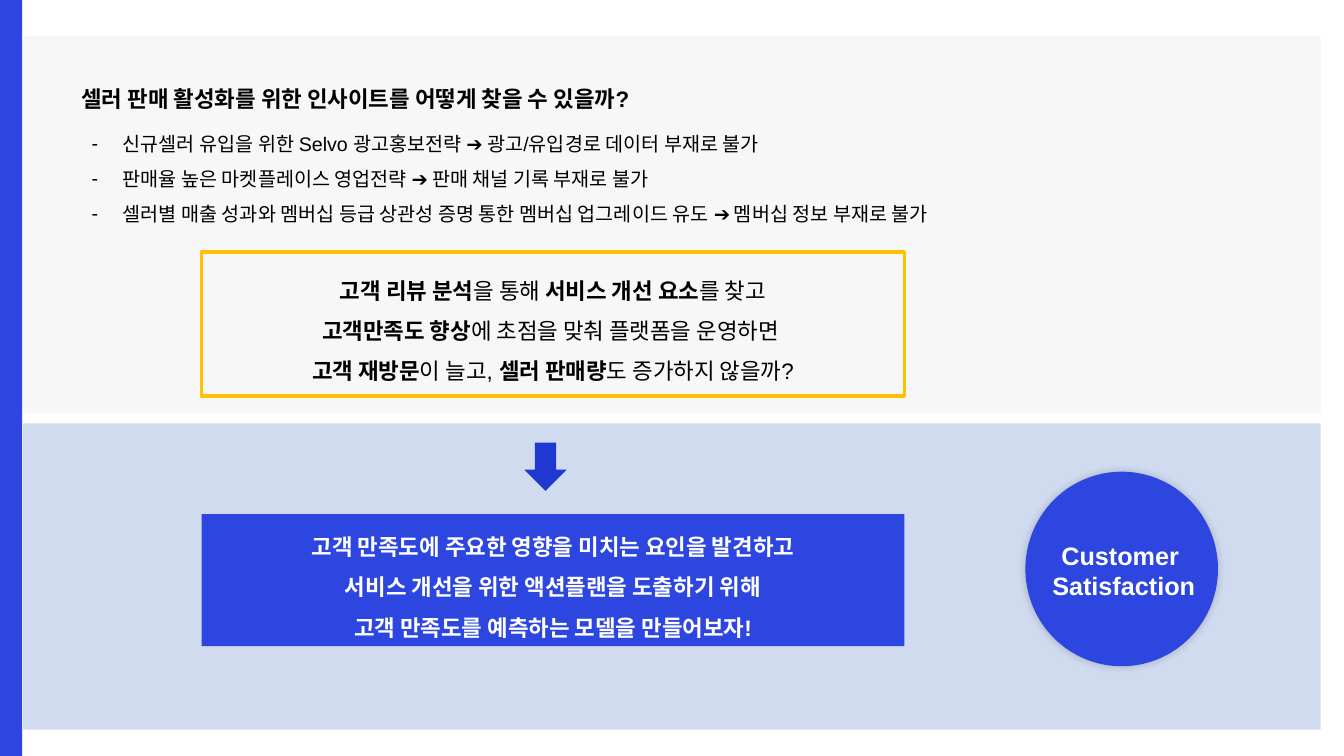
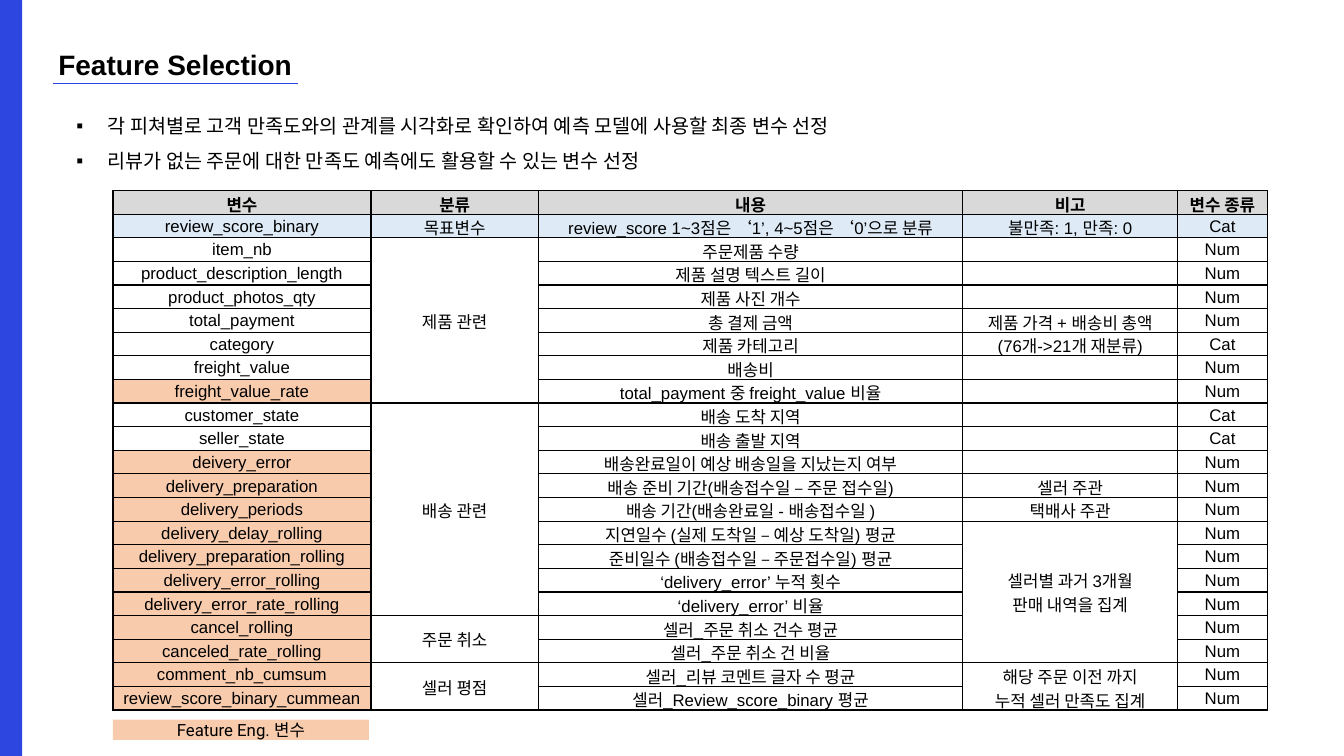
import pptx
import pptx.chart.data
import pptx.dml.color
import pptx.enum.shapes
import pptx.enum.text
import pptx.oxml.ns
import pptx.util
from lxml import etree

Inches = pptx.util.Inches
Pt = pptx.util.Pt
RGBColor = pptx.dml.color.RGBColor
SHAPE = pptx.enum.shapes.MSO_SHAPE
ALIGN = pptx.enum.text.PP_ALIGN
ANCHOR = pptx.enum.text.MSO_ANCHOR
GROW = pptx.enum.text.MSO_AUTO_SIZE.SHAPE_TO_FIT_TEXT
qn = pptx.oxml.ns.qn

BLUE = RGBColor(0x2C, 0x46, 0xDF)
ARROW_BLUE = RGBColor(0x1F, 0x38, 0xCF)
BAND_BLUE = RGBColor(0x44, 0x72, 0xC4)
BAND_GRAY = RGBColor(0xF7, 0xF7, 0xF7)
YELLOW = RGBColor(0xFF, 0xC0, 0x00)
HEADER_GRAY = RGBColor(0xD9, 0xD9, 0xD9)
TARGET_BLUE = RGBColor(0xDE, 0xEB, 0xF7)
ENGINEERED_ORANGE = RGBColor(0xF8, 0xCB, 0xAD)
BLACK = RGBColor(0, 0, 0)
WHITE = RGBColor(0xFF, 0xFF, 0xFF)

CELL_MARGINS = {
    "margin_left": Inches(0.01),
    "margin_top": Inches(0.01),
    "margin_right": Inches(0.01),
    "margin_bottom": 0,
    "vertical_anchor": ANCHOR.MIDDLE,
}
COLUMN_WIDTHS = (2.56, 1.66, 4.21, 2.13, 0.89)
TABLE_HEIGHT = 5.16
HEADERS = ("변수", "분류", "내용", "비고", "변수 종류")
TARGET = ("review_score_binary", "목표변수", "review_score 1~3점은 ‘1’, 4~5점은 ‘0’으로 분류",
          "불만족: 1, 만족: 0", "Cat")
# variable, description, note, kind
FEATURES = (
    ("item_nb", "주문제품 수량", "", "Num"),
    ("product_description_length", "제품 설명 텍스트 길이", "", "Num"),
    ("product_photos_qty", "제품 사진 개수", "", "Num"),
    ("total_payment", "총 결제 금액", "제품 가격 + 배송비 총액", "Num"),
    ("category", "제품 카테고리", "(76개->21개 재분류)", "Cat"),
    ("freight_value", "배송비", "", "Num"),
    ("freight_value_rate", "total_payment 중 freight_value 비율", "", "Num"),
    ("customer_state", "배송 도착 지역", "", "Cat"),
    ("seller_state", "배송 출발 지역", "", "Cat"),
    ("deivery_error", "배송완료일이 예상 배송일을 지났는지 여부", "", "Num"),
    ("delivery_preparation", "배송 준비 기간(배송접수일 – 주문 접수일)", "셀러 주관", "Num"),
    ("delivery_periods", "배송 기간(배송완료일 - 배송접수일 )", "택배사 주관", "Num"),
    ("delivery_delay_rolling", "지연일수 (실제 도착일 – 예상 도착일) 평균",
     "셀러별 과거 3개월\n판매 내역을 집계", "Num"),
    ("delivery_preparation_rolling", "준비일수 (배송접수일 – 주문접수일) 평균", "", "Num"),
    ("delivery_error_rolling", "‘delivery_error’ 누적 횟수", "", "Num"),
    ("delivery_error_rate_rolling", "‘delivery_error’ 비율", "", "Num"),
    ("cancel_rolling", "셀러_주문 취소 건수 평균", "", "Num"),
    ("canceled_rate_rolling", "셀러_주문 취소 건 비율", "", "Num"),
    ("comment_nb_cumsum", "셀러_리뷰 코멘트 글자 수 평균",
     "해당 주문 이전 까지\n누적 셀러 만족도 집계", "Num"),
    ("review_score_binary_cummean", "셀러_Review_score_binary 평균", "", "Num"),
)
# first table row: (category, rows)
CATEGORIES = {2: ("제품 관련", 7), 9: ("배송 관련", 9), 18: ("주문 취소", 2), 20: ("셀러 평점", 2)}
NOTE_SPANS = {14: 6, 20: 2}
ENGINEERED_ROWS = {8, *range(11, 22)}


def set_attributes(target, values):
    for name, value in values.items():
        setattr(target, name, value)


def add_bullet(paragraph, symbol):
    properties = paragraph._p.get_or_add_pPr()
    properties.set("marL", str(Inches(0.31)))
    properties.set("indent", str(-Inches(0.31)))
    etree.SubElement(properties, qn("a:buFont"), typeface="Arial")
    etree.SubElement(properties, qn("a:buChar"), char=symbol)


def write(frame, lines, size, color=BLACK, bold=False, align=ALIGN.LEFT,
          spacing=None, bullet=None, font="Arial"):
    """Fill a text frame; ** switches bold on and off inside a line."""
    for index, line in enumerate(lines):
        paragraph = frame.add_paragraph() if index else frame.paragraphs[0]
        set_attributes(paragraph, {"alignment": align, "line_spacing": spacing})
        if bullet:
            add_bullet(paragraph, bullet)
        for part, words in enumerate(line.split("**")):
            if words:
                run = paragraph.add_run()
                run.text = words
                set_attributes(run.font, {"name": font, "size": Pt(size),
                                          "bold": bold != (part % 2 == 1)})
                run.font.color.rgb = color
        if not line:
            etree.SubElement(paragraph._p, qn("a:endParaRPr"), sz=str(size * 100))


def add_text(shapes, box, lines, size, **style):
    frame = shapes.add_textbox(*map(Inches, box)).text_frame
    set_attributes(frame, {"word_wrap": True, "auto_size": GROW})
    write(frame, lines, size, **style)


def add_block(shapes, kind, box, fill=None, line=None):
    block = shapes.add_shape(kind, *map(Inches, box))
    block.shadow.inherit = False
    if fill is None:
        block.fill.background()
    else:
        block.fill.solid()
        block.fill.fore_color.rgb = fill
    if line is None:
        block.line.fill.background()
    else:
        block.line.color.rgb = line
        block.line.width = Pt(2.5)
    return block


def set_alpha(color_element, percent):
    etree.SubElement(color_element, qn("a:alpha"), val=str(percent * 1000))


def add_soft_shadow(block):
    effects = block._element.spPr.find(qn("a:effectLst"))
    shadow = etree.SubElement(effects, qn("a:outerShdw"), blurRad=str(Pt(6)), dist="0",
                              dir="2700000", algn="tl", rotWithShape="0")
    set_alpha(etree.SubElement(shadow, qn("a:srgbClr"), val="000000"), 20)


def add_statement(shapes, box, lines, fill=None, line=None, **style):
    """Box with centred lines of 16 point text."""
    block = add_block(shapes, SHAPE.RECTANGLE, box, fill, line)
    set_attributes(block.text_frame, {"word_wrap": True, "vertical_anchor": ANCHOR.MIDDLE})
    write(block.text_frame, lines, 16, align=ALIGN.CENTER, spacing=1.5, **style)


def add_underline(shapes, left, right, top):
    line = shapes.add_connector(pptx.enum.shapes.MSO_CONNECTOR.STRAIGHT,
                                Inches(left), Inches(top), Inches(right), Inches(top))
    line.line.color.rgb = BLUE
    line.line.width = Pt(1)
    etree.SubElement(line._element.spPr, qn("a:effectLst"))


def add_cell_borders(cell):
    properties = cell._tc.get_or_add_tcPr()
    for side in ("lnL", "lnR", "lnT", "lnB"):
        border = etree.SubElement(properties, qn(f"a:{side}"), w=str(Pt(1)))
        fill = etree.SubElement(border, qn("a:solidFill"))
        etree.SubElement(fill, qn("a:srgbClr"), val=str(BLACK))


def cell_fill(row, column):
    if row < 2:
        return (HEADER_GRAY, TARGET_BLUE)[row]
    if column == 0 and row in ENGINEERED_ROWS:
        return ENGINEERED_ORANGE
    return None


def add_feature_table(shapes, left, top):
    rows = [HEADERS, TARGET]
    for name, content, note, kind in FEATURES:
        category = CATEGORIES.get(len(rows), ("", 1))[0]
        rows.append((name, category, content, note, kind))
    table = shapes.add_table(len(rows), len(HEADERS), Inches(left), Inches(top),
                             Inches(sum(COLUMN_WIDTHS)), Inches(TABLE_HEIGHT)).table
    set_attributes(table, {"first_row": False, "horz_banding": False})
    for column, width in zip(table.columns, COLUMN_WIDTHS):
        column.width = Inches(width)
    for row, texts in enumerate(rows):
        table.rows[row].height = Inches(TABLE_HEIGHT / len(rows))
        for column, text in enumerate(texts):
            cell = table.cell(row, column)
            set_attributes(cell, CELL_MARGINS)
            add_cell_borders(cell)
            fill = cell_fill(row, column)
            if fill is None:
                cell.fill.background()
            else:
                cell.fill.solid()
                cell.fill.fore_color.rgb = fill
            write(cell.text_frame, text.split("\n"), 12, bold=row == 0, align=ALIGN.CENTER)
    spans = [(row, 1, count) for row, (_, count) in CATEGORIES.items()]
    spans += [(row, 3, count) for row, count in NOTE_SPANS.items()]
    for row, column, count in spans:
        table.cell(row, column).merge(table.cell(row + count - 1, column))


def new_slide(deck):
    """Blank slide with the blue side bar."""
    shapes = deck.slides.add_slide(deck.slide_layouts[6]).shapes
    add_block(shapes, SHAPE.RECTANGLE, (0, 0, 0.22, 7.5), BLUE)
    return shapes


def build_question_slide(deck):
    shapes = new_slide(deck)
    goal_band = add_block(shapes, SHAPE.RECTANGLE, (0.23, 4.2, 12.87, 3.04), BAND_BLUE)
    set_alpha(goal_band._element.spPr.find(qn("a:solidFill"))[0], 25)
    add_block(shapes, SHAPE.RECTANGLE, (0.23, 0.36, 12.87, 3.74), BAND_GRAY)

    add_text(shapes, (0.71, 0.66, 9.54, 0.45),
             ["셀러 판매 활성화를 위한 인사이트를 어떻게 찾을 수 있을까?"], 16, bold=True, spacing=1.5)
    add_text(shapes, (0.81, 1.14, 9.54, 1.34), [
        "신규셀러 유입을 위한 Selvo 광고홍보전략 ➔ 광고/유입경로 데이터 부재로 불가",
        "판매율 높은 마켓플레이스 영업전략 ➔ 판매 채널 기록 부재로 불가",
        "셀러별 매출 성과와 멤버십 등급 상관성 증명 통한 멤버십 업그레이드 유도 ➔ 멤버십 정보 부재로 불가",
    ], 14, spacing=1.5, bullet="-")
    add_statement(shapes, (2, 2.5, 6.97, 1.43), [
        "**고객 리뷰 분석**을 통해 **서비스 개선 요소**를 찾고",
        "**고객만족도 향상**에 초점을 맞춰 플랫폼을 운영하면 ",
        "**고객 재방문**이 늘고, **셀러 판매량**도 증가하지 않을까?",
    ], line=YELLOW)
    add_block(shapes, SHAPE.DOWN_ARROW, (5.2, 4.39, 0.42, 0.48), ARROW_BLUE)
    add_statement(shapes, (2, 5.1, 6.97, 1.31), [
        "고객 만족도에 주요한 영향을 미치는 요인을 발견하고",
        "서비스 개선을 위한 액션플랜을 도출하기 위해",
        "고객 만족도를 예측하는 모델을 만들어보자!",
    ], fill=BLUE, color=WHITE, bold=True)

    badge = shapes.add_group_shape().shapes
    add_soft_shadow(add_block(badge, SHAPE.OVAL, (10.17, 4.68, 1.91, 1.93), BLUE))
    add_text(badge, (9.7, 5.31, 2.89, 0.64), ["Customer ", "Satisfaction"], 18,
             color=WHITE, bold=True, align=ALIGN.CENTER)


def build_feature_slide(deck):
    shapes = new_slide(deck)
    add_text(shapes, (0.48, 0.26, 2.96, 0.54), ["Feature Selection"], 20, bold=True, spacing=1.5)
    add_underline(shapes, 0.53, 2.96, 0.83)
    add_text(shapes, (0.66, 0.96, 12.38, 0.81), [
        "각 피쳐별로 고객 만족도와의 관계를 시각화로 확인하여 예측 모델에 사용할 최종 변수 선정",
        "리뷰가 없는 주문에 대한 만족도 예측에도 활용할 수 있는 변수 선정",
    ], 14, spacing=1.5, bullet="▪")
    add_feature_table(shapes, 1.12, 1.89)
    legend = add_block(shapes, SHAPE.RECTANGLE, (1.12, 7.14, 2.54, 0.2), ENGINEERED_ORANGE)
    set_attributes(legend.text_frame, {"margin_top": 0, "margin_bottom": 0, "word_wrap": True,
                                       "vertical_anchor": ANCHOR.TOP, "auto_size": GROW})
    write(legend.text_frame, ["Feature Eng. 변수"], 12, align=ALIGN.CENTER, font="Roboto")


def main():
    deck = pptx.Presentation()
    set_attributes(deck, {"slide_width": Inches(13.33), "slide_height": Inches(7.5)})
    build_question_slide(deck)
    build_feature_slide(deck)
    deck.save("out.pptx")


if __name__ == "__main__":
    main()
